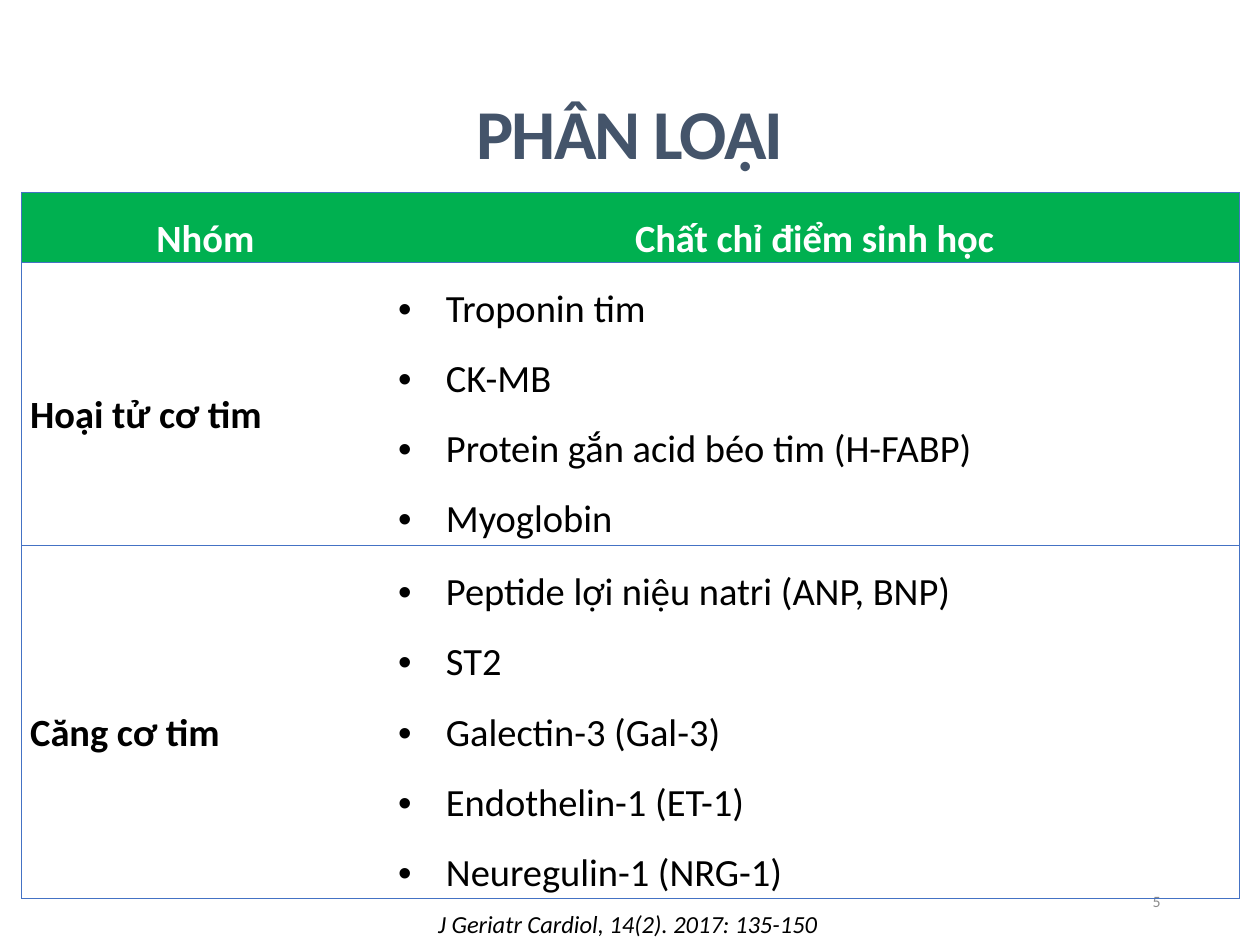
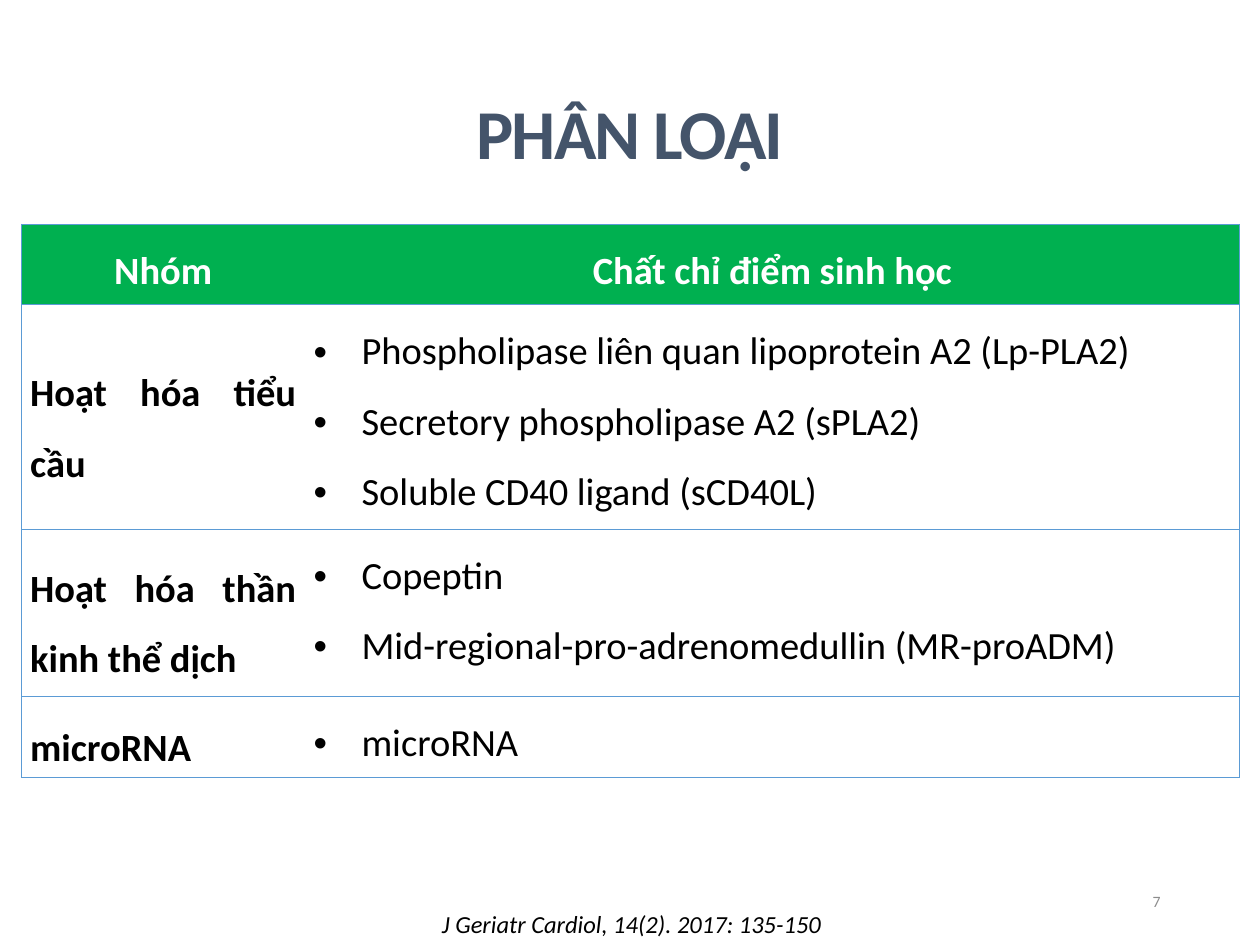
from lxml.etree import SubElement
from pptx import Presentation
from pptx.dml.color import RGBColor
from pptx.enum.text import MSO_ANCHOR, PP_ALIGN
from pptx.oxml.ns import qn
from pptx.util import Inches, Pt

SLIDE_W, SLIDE_H = Inches(10), Inches(7.5)
COL, ROW = SLIDE_W / 100, SLIDE_H / 75
FONT = "Calibri"
SLATE = RGBColor(0x44, 0x54, 0x6A)
GRAY = RGBColor(0x8C, 0x8C, 0x8C)
BLACK = RGBColor(0, 0, 0)
WHITE = RGBColor(0xFF, 0xFF, 0xFF)
GREEN = RGBColor(0x00, 0xB0, 0x50)
BLUE = RGBColor(0x44, 0x72, 0xC4)
SKY = RGBColor(0x5B, 0x9B, 0xD5)

TITLE_BOX = (5, 5, 90, 10.8)
NUMBER_BOX = (70.6, 69.5, 22.5, 4)
TITLE = "PHÂN LOẠI"
HEADERS = ("Nhóm", "Chất chỉ điểm sinh học")
SOURCE = "J Geriatr Cardiol, 14(2). 2017: 135-150"

SLIDES = [
    dict(number="5", line=BLUE, box=(1.7, 15.3, 96.7), first_col=29.2,
         heights=(5, 22.5, 28), source_left=4.7,
         groups=[
             ("Hoại tử cơ tim",
              ["Troponin tim", "CK-MB", "Protein gắn acid béo tim (H-FABP)", "Myoglobin"]),
             ("Căng cơ tim",
              ["Peptide lợi niệu natri (ANP, BNP)", "ST2", "Galectin-3 (Gal-3)",
               "Endothelin-1 (ET-1)", "Neuregulin-1 (NRG-1)"]),
         ]),
    dict(number="7", line=SKY, box=(1.7, 17.8, 96.7), first_col=22.5,
         heights=(6.4, 17.8, 13.3, 6.4), source_left=5,
         groups=[
             ("Hoạt hóa tiểu cầu",
              ["Phospholipase liên quan lipoprotein A2 (Lp-PLA2)",
               "Secretory phospholipase A2 (sPLA2)", "Soluble CD40 ligand (sCD40L)"]),
             ("Hoạt hóa thần kinh thể dịch",
              ["Copeptin", "Mid-regional-pro-adrenomedullin (MR-proADM)"]),
             ("microRNA", ["microRNA"]),
         ]),
]


def cols(n):
    return int(n * COL)


def rows(n):
    return int(n * ROW)


def add_bullet(p):
    pPr = p._p.get_or_add_pPr()
    pPr.set("marL", str(Inches(0.38)))
    pPr.set("indent", str(-Inches(0.38)))
    SubElement(pPr, qn("a:buFont")).set("typeface", "Arial")
    SubElement(pPr, qn("a:buChar")).set("char", "•")


def write(tf, *lines, size=22, color=BLACK, bold=False, italic=False,
          align=PP_ALIGN.CENTER, spacing=None, bullet=False, tracking=None):
    tf.word_wrap = True
    for i, line in enumerate(lines):
        p = tf.add_paragraph() if i else tf.paragraphs[0]
        p.alignment = align
        if spacing:
            p.line_spacing = spacing
        if bullet:
            add_bullet(p)
        r = p.add_run()
        r.text = line
        r.font.name, r.font.size = FONT, Pt(size)
        r.font.bold, r.font.italic = bold, italic
        r.font.color.rgb = color
        if tracking:
            r._r.get_or_add_rPr().set("spc", str(tracking))


def add_label(slide, box, text, anchor=MSO_ANCHOR.MIDDLE, **style):
    left, top, width, height = box
    sp = slide.shapes.add_textbox(cols(left), rows(top), cols(width), rows(height))
    sp.text_frame.vertical_anchor = anchor
    write(sp.text_frame, text, **style)


def set_borders(cell, color, visible):
    tcPr = cell._tc.get_or_add_tcPr()
    for side in "LRTB":
        ln = SubElement(tcPr, qn(f"a:ln{side}"))
        if side in visible:
            ln.set("w", str(Pt(0.5)))
            fill = SubElement(ln, qn("a:solidFill"))
            SubElement(fill, qn("a:srgbClr")).set("val", str(color))
        else:
            SubElement(ln, qn("a:noFill"))


def fill_cell(cell, *lines, line, visible, fill=None, anchor=MSO_ANCHOR.TOP, **style):
    cell.margin_left = cell.margin_right = Inches(0.07)
    cell.margin_top = cell.margin_bottom = 0
    cell.vertical_anchor = anchor
    set_borders(cell, line, visible)
    if fill:
        cell.fill.solid()
        cell.fill.fore_color.rgb = fill
    else:
        cell.fill.background()
    write(cell.text_frame, *lines, spacing=1.5, **style)


def add_marker_table(slide, box, first_col, heights, groups, line):
    left, top, width = box
    table = slide.shapes.add_table(len(heights), 2, cols(left), rows(top),
                                   cols(width), rows(sum(heights))).table
    table.horz_banding = False
    for column, share in zip(table.columns, (first_col, width - first_col)):
        column.width = cols(share)
    for row, height in zip(table.rows, heights):
        row.height = rows(height)
    for i, (header, visible) in enumerate(zip(HEADERS, ("LTB", "RTB"))):
        fill_cell(table.cell(0, i), header, line=line, visible=visible,
                  fill=GREEN, color=WHITE, bold=True)
    for i, (group, markers) in enumerate(groups, 1):
        fill_cell(table.cell(i, 0), group, line=line, visible="LTB", bold=True,
                  anchor=MSO_ANCHOR.MIDDLE, align=PP_ALIGN.JUSTIFY)
        fill_cell(table.cell(i, 1), *markers, line=line, visible="RTB",
                  align=PP_ALIGN.JUSTIFY, bullet=True)


def add_classification_slide(prs, number, source_left, **table):
    slide = prs.slides.add_slide(prs.slide_layouts[6])
    add_label(slide, TITLE_BOX, TITLE, size=40, color=SLATE, bold=True, tracking=-100)
    add_label(slide, NUMBER_BOX, number, size=9, color=GRAY, align=PP_ALIGN.RIGHT)
    add_marker_table(slide, **table)
    add_label(slide, (source_left, 71.5, 90.3, 3.3), SOURCE, anchor=MSO_ANCHOR.TOP,
              size=14, italic=True, spacing=1.07)


def main():
    prs = Presentation()
    prs.slide_width, prs.slide_height = SLIDE_W, SLIDE_H
    for content in SLIDES:
        add_classification_slide(prs, **content)
    prs.save("out.pptx")


if __name__ == "__main__":
    main()
